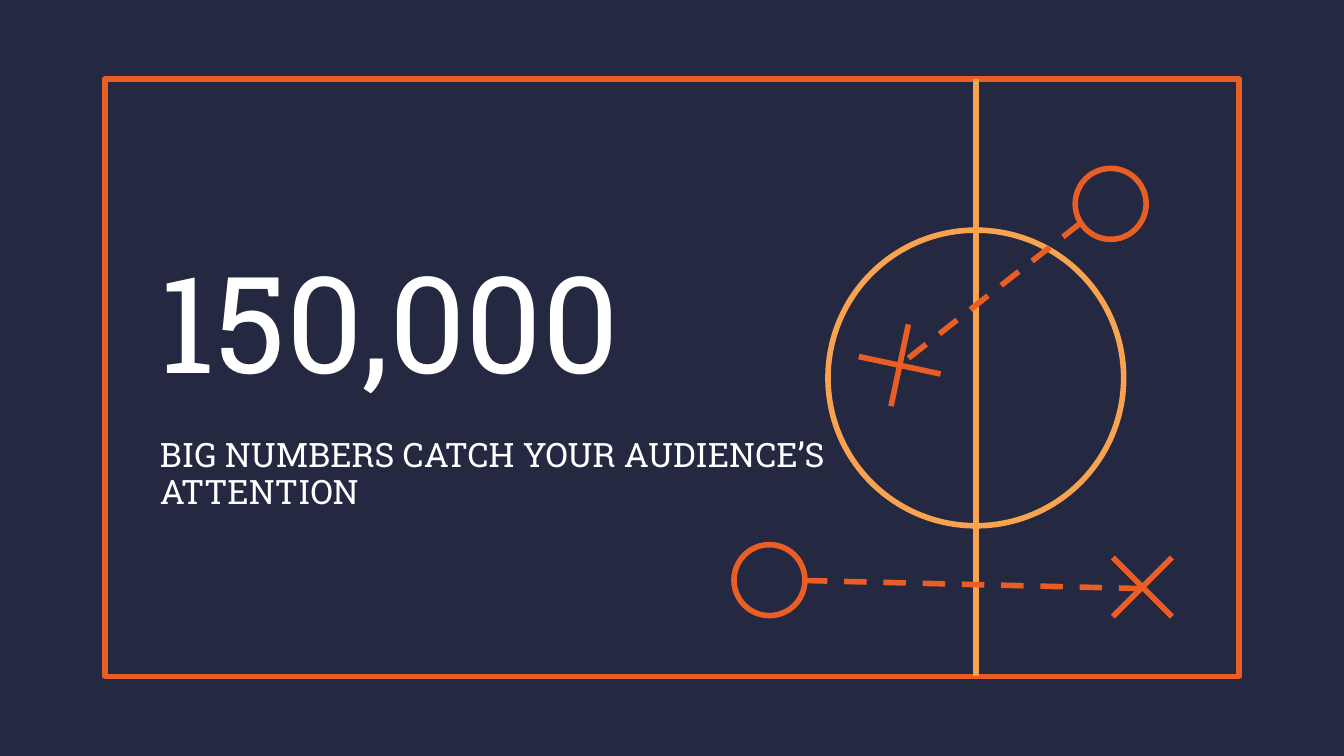
from math import cos, radians, sin

from pptx import Presentation
from pptx.dml.color import RGBColor
from pptx.enum.dml import MSO_LINE
from pptx.enum.shapes import MSO_CONNECTOR, MSO_SHAPE
from pptx.enum.text import MSO_ANCHOR, MSO_AUTO_SIZE, PP_ALIGN
from pptx.oxml.ns import qn
from pptx.util import Pt

NAVY, ORANGE, AMBER, WHITE = "242841", "E95E24", "F9A350", "FFFFFF"


def color(hex_string):
    return RGBColor.from_string(hex_string)


def write(box, text, size, hue=WHITE, font="Roboto Slab", spacing=1.0, after=0):
    frame = box.text_frame
    frame.word_wrap = True
    frame.auto_size = MSO_AUTO_SIZE.NONE
    frame.vertical_anchor = MSO_ANCHOR.MIDDLE
    frame.margin_left = frame.margin_right = Pt(7.2)
    frame.margin_top = frame.margin_bottom = Pt(7.2)
    para = frame.paragraphs[0]
    para.alignment = PP_ALIGN.LEFT
    para.line_spacing = spacing
    para.space_before, para.space_after = Pt(0), Pt(after)
    span = para.add_run()
    span.text = text
    span.font.name, span.font.size = font, Pt(size)
    span.font.color.rgb = color(hue)


class Board:
    """Holds the line style and the current page."""

    line_width = 3
    mark_radius = 19
    cross_arm = 22.4

    def __init__(self, page):
        self.page = page
        page.background.fill.solid()
        page.background.fill.fore_color.rgb = color(NAVY)

    def placeholder(self, index, left, top, width, height, text, **style):
        box = self.page.placeholders[index]
        box.left, box.top = Pt(left), Pt(top)
        box.width, box.height = Pt(width), Pt(height)
        write(box, text, **style)

    def outline(self, kind, left, top, width, height, hue, fill=None):
        shape = self.page.shapes.add_shape(
            kind, Pt(left), Pt(top), Pt(width), Pt(height))
        shape.shadow.inherit = False
        if fill:
            shape.fill.solid()
            shape.fill.fore_color.rgb = color(fill)
        else:
            shape.fill.background()
        shape.line.color.rgb = color(hue)
        shape.line.width = Pt(self.line_width)

    def circle(self, x, y, radius, hue, fill=None):
        self.outline(MSO_SHAPE.OVAL, x - radius, y - radius,
                     2 * radius, 2 * radius, hue, fill)

    def line(self, x1, y1, x2, y2, hue=ORANGE, dashed=False):
        stroke = self.page.shapes.add_connector(
            MSO_CONNECTOR.STRAIGHT, Pt(x1), Pt(y1), Pt(x2), Pt(y2))
        stroke.line.color.rgb = color(hue)
        stroke.line.width = Pt(self.line_width)
        if dashed:
            stroke.line.dash_style = MSO_LINE.DASH
        properties = stroke._element.spPr
        properties.append(properties.makeelement(qn("a:effectLst"), {}))

    def cross(self, x, y, angle):
        for turn in (angle, angle + 90):
            dx = self.cross_arm * cos(radians(turn))
            dy = self.cross_arm * sin(radians(turn))
            self.line(x - dx, y - dy, x + dx, y + dy)

    def play(self, player, target, angle, run):
        """A player circle, a target cross and the dashed run between them."""
        self.circle(*player, self.mark_radius, ORANGE, NAVY)
        self.cross(*target, angle)
        self.line(*run, dashed=True)


def main():
    deck = Presentation()
    deck.slide_width, deck.slide_height = Pt(720), Pt(405)
    board = Board(deck.slides.add_slide(deck.slide_layouts[0]))

    # Big number and its caption
    board.placeholder(0, 78.5, 118.8, 563.8, 105, "150,000", size=72)
    board.placeholder(1, 78.5, 223.2, 375.8, 62.6,
                      "BIG NUMBERS CATCH YOUR AUDIENCE’S ATTENTION",
                      size=18, spacing=0.9, after=12)

    # Court: border, halfway line and centre circle
    board.outline(MSO_SHAPE.RECTANGLE, 56.2, 42.4, 607.6, 320, ORANGE)
    board.line(522.8, 42.4, 522.8, 362, AMBER)
    board.circle(522.8, 202.5, 79.2, AMBER)

    # Plays
    board.play((595, 109.2), (482, 195.7), 12, (578.9, 119.5, 481.7, 195.8))
    board.play((412.2, 310.8), (612, 314.5), 45, (431.2, 311, 614.2, 315.4))

    deck.save("out.pptx")


if __name__ == "__main__":
    main()
